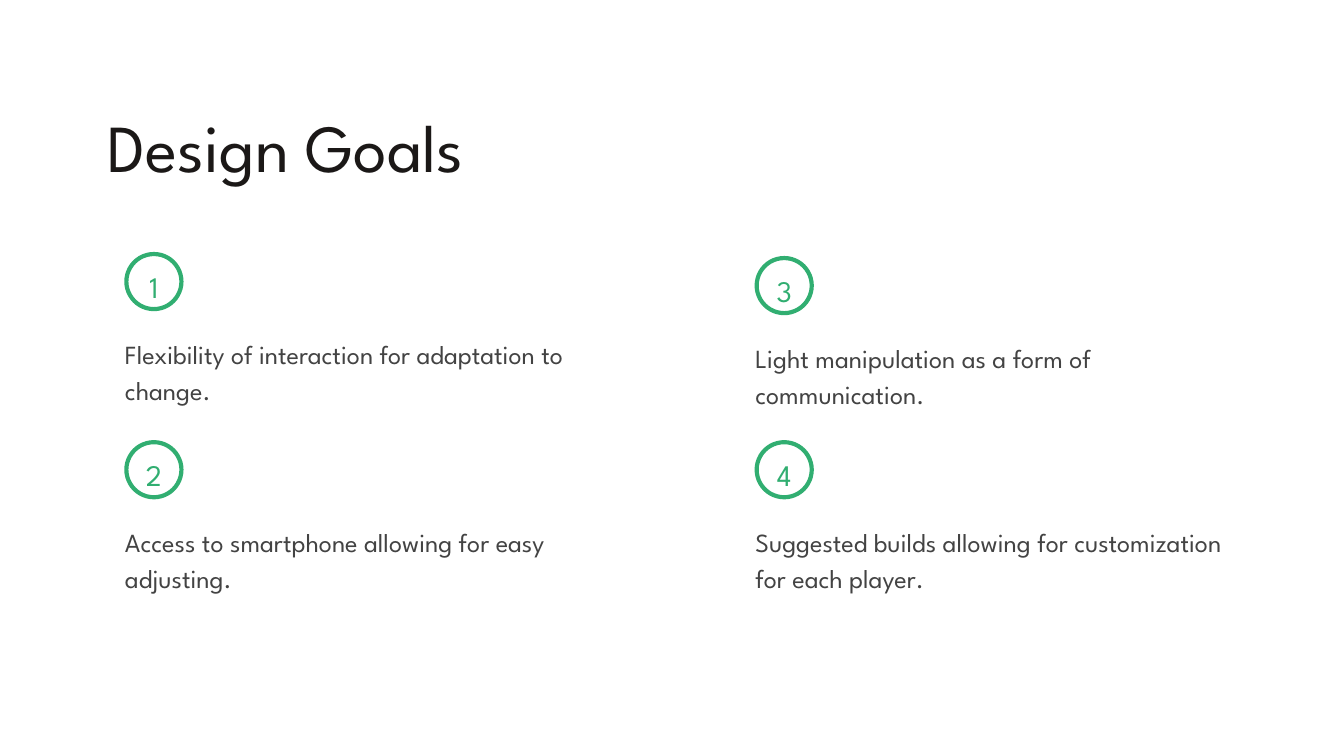
from pptx import Presentation
from pptx import util as u
from pptx.dml.color import RGBColor
from pptx.enum import shapes, text

COLORS = {"title": "1B1817", "body": "434343", "accent": "31AE71"}
FONT = "League Spartan"
GOALS = [  # left, top, box width, box height, wording
    (0.83, 1.86, 3.94, 0.56, "Flexibility of interaction for adaptation to change."),
    (0.83, 3.26, 3.81, 1.16, "Access to smartphone allowing for easy adjusting."),
    (5.52, 1.89, 3.94, 0.56, "Light manipulation as a form of communication."),
    (5.52, 3.26, 3.81, 1.16, "Suggested builds allowing for customization for each player."),
]


def place(shape, left, top, width, height):
    shape.left, shape.top = u.Inches(left), u.Inches(top)
    shape.width, shape.height = u.Inches(width), u.Inches(height)


def write(shape, wording, size, color, align=text.PP_ALIGN.LEFT, spacing=1.0, after=0):
    frame = shape.text_frame
    frame.word_wrap = True
    frame.auto_size = text.MSO_AUTO_SIZE.NONE
    frame.vertical_anchor = text.MSO_ANCHOR.TOP
    frame.margin_left = frame.margin_right = u.Inches(0.1)
    frame.margin_top = frame.margin_bottom = u.Inches(0.1)
    paragraph = frame.paragraphs[0]
    paragraph.alignment = align
    paragraph.line_spacing = spacing
    paragraph.space_before = u.Pt(0)
    paragraph.space_after = u.Pt(after)
    run = paragraph.add_run()
    run.text = wording
    run.font.name, run.font.size, run.font.bold = FONT, u.Pt(size), False
    run.font.color.rgb = RGBColor.from_string(COLORS[color])
    return paragraph


def remove_bullet(paragraph):
    properties = paragraph._p.get_or_add_pPr()
    properties.set("marL", "0")
    properties.set("indent", "0")
    properties.append(properties.makeelement(
        "{http://schemas.openxmlformats.org/drawingml/2006/main}buNone", {}))


def add_title(slide, left, top, width, height):
    place(slide.shapes.title, left, top, width, height)
    write(slide.shapes.title, "Design Goals", 36, "title")


def add_goal(slide, body, number, left, top, width, height, wording):
    # Description
    place(body, left, top + 0.52, width, height)
    remove_bullet(write(body, wording, 14, "body", spacing=1.15, after=16))

    # Ring
    ring = slide.shapes.add_shape(shapes.MSO_SHAPE.OVAL, 0, 0, 0, 0)
    place(ring, left + 0.11, top + 0.03, 0.41, 0.41)
    ring.shadow.inherit = False
    ring.fill.background()
    ring.line.color.rgb = RGBColor.from_string(COLORS["accent"])
    ring.line.width = u.Pt(2.25)

    # Number
    label = slide.shapes.add_textbox(0, 0, 0, 0)
    place(label, left + 0.11, top, 0.41, 0.34)
    write(label, str(number), 16, "accent", align=text.PP_ALIGN.CENTER,
          spacing=1.15, after=16)


def build_goals_slide(presentation):
    # The comparison layout has a title and four body placeholders
    slide = presentation.slides.add_slide(presentation.slide_layouts[4])
    add_title(slide, 0.7, 0.68, 8.95, 0.78)
    bodies = [slide.placeholders[index] for index in range(1, 5)]
    for number, (body, goal) in enumerate(zip(bodies, GOALS), start=1):
        add_goal(slide, body, number, *goal)


presentation = Presentation()
# Widescreen, 16:9
presentation.slide_width = u.Inches(10)
presentation.slide_height = u.Inches(10 * 9 / 16)
build_goals_slide(presentation)
presentation.save("out.pptx")
